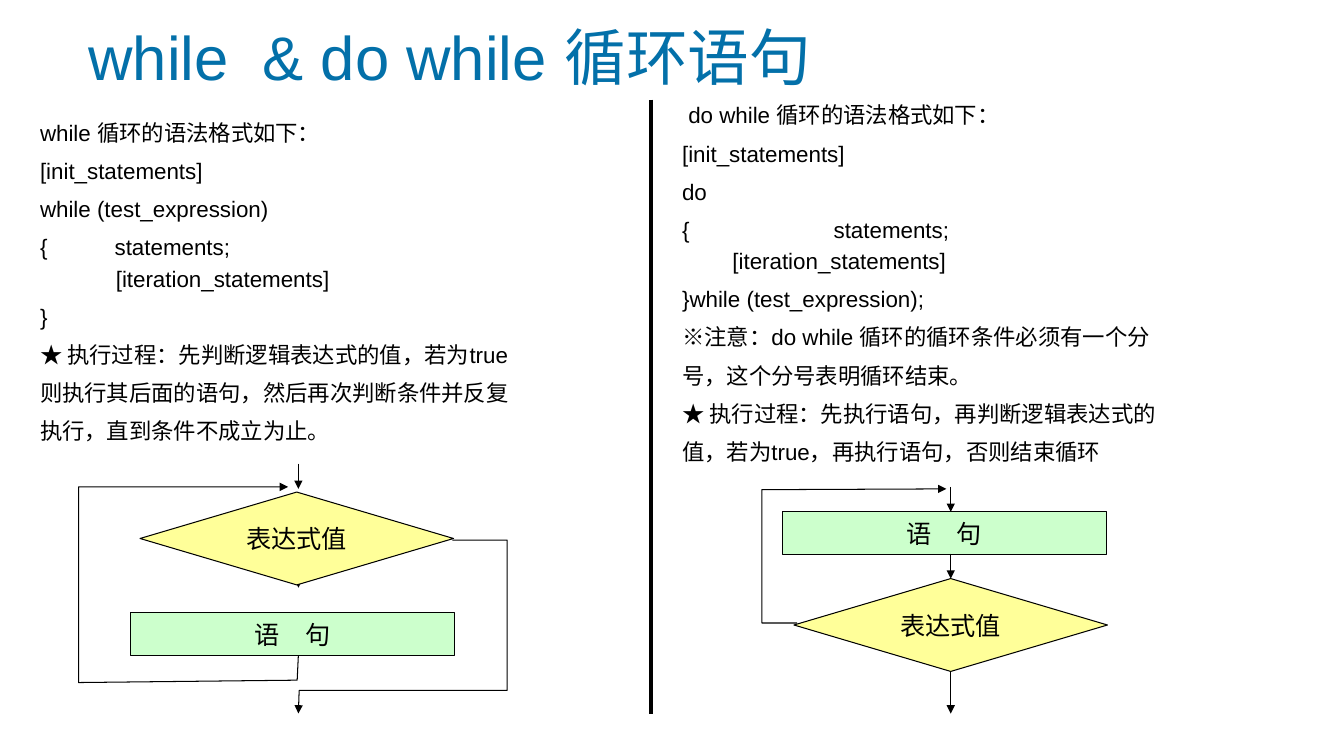
import pptx
import pptx.dml.color
import pptx.enum.shapes
import pptx.enum.text
import pptx.util
from lxml import etree
from pptx.oxml.ns import qn

Cm, Pt = pptx.util.Cm, pptx.util.Pt
SHAPE = pptx.enum.shapes.MSO_SHAPE
ANCHOR = pptx.enum.text.MSO_ANCHOR
ALIGN = pptx.enum.text.PP_ALIGN

# Content: lines are (text, left margin, first-line indent, space before)
TITLE = "while  & do while 循环语句"
WHILE_LINES = [
    ("while 循环的语法格式如下：", 0.64, -0.64, 10),
    ("[init_statements]", 0.64, -0.64, 10),
    ("while (test_expression)", 0.64, -0.64, 10),
    ("{\tstatements;", 1.88, -1.88, 10),
    ("[iteration_statements]", 1.91, 0, 5),
    ("}", 0.64, -0.64, 10),
    ("★ 执行过程：先判断逻辑表达式的值，若为true", 0.64, -0.64, 10),
    ("则执行其后面的语句，然后再次判断条件并反复", 0.64, -0.64, 10),
    ("执行，直到条件不成立为止。", 0.64, -0.64, 10),
]
DO_LINES = [
    (" do while 循环的语法格式如下：", 0, 0, 10),
    ("[init_statements]", 0, 0, 10),
    ("do", 0, 0, 10),
    ("{\tstatements;", 3.82, -3.82, 10),
    ("[iteration_statements]", 1.27, 0, 5),
    ("}while (test_expression);", 0, 0, 10),
    ("※注意：do while 循环的循环条件必须有一个分", 0, 0, 10),
    ("号，这个分号表明循环结束。", 0, 0, 10),
    ("★ 执行过程：先执行语句，再判断逻辑表达式的", 0, 0, 10),
    ("值，若为true，再执行语句，否则结束循环", 0, 0, 10),
]
TEST, STATEMENT = "表达式值", "语　句"

# Layout in centimetres
TITLE_BOX = (1.98, 0.53, 28.22, 1.98)
WHILE_BOX = (0.76, 2.95, 15.39, 15.52)
DO_BOX = (16.94, 2.51, 14.96, 15.95)
DIVIDER_X, DIVIDER_TOP, BOTTOM = 16.41, 2.51, 17.98
DIAMOND_SIZE, BAR_SIZE = (7.9, 2.34), (8.18, 1.07)
WHILE_X, DO_X = 7.52, 23.96
WHILE_LOOP = [(7.52, 16.51), (7.49, 17.14), (1.98, 17.2), (1.98, 12.27), (7.26, 12.27)]
WHILE_EXIT = [(11.4, 13.61), (12.78, 13.61), (12.78, 17.4), (7.54, 17.4), (7.52, BOTTOM)]
DO_LOOP = [(20.09, 15.7), (19.2, 15.7), (19.2, 12.34), (23.85, 12.32)]

BLACK, BLUE, YELLOW, GREEN = "000000", "0370A9", "FFFF99", "CCFFCC"

deck = pptx.Presentation()
deck.slide_width, deck.slide_height = Cm(33.87), Cm(19.05)
page = deck.slides.add_slide(deck.slide_layouts[6])


def color(value):
    return pptx.dml.color.RGBColor.from_string(value)


def write(para, text, size=16, ink=BLACK, align=None, line=None, before=0, margin=0, indent=0):
    para.alignment = align
    para.line_spacing = line
    para.space_before = Pt(before)
    properties = para._p.get_or_add_pPr()
    properties.set("marL", str(Cm(margin)))
    properties.set("indent", str(Cm(indent)))
    span = para.add_run()
    span.text = text
    span.font.name = "Arial"
    span.font.size = Pt(size)
    span.font.color.rgb = color(ink)


def add_text_box(frame):
    box = page.shapes.add_textbox(*map(Cm, frame))
    box.text_frame.word_wrap = True
    return box.text_frame


def add_lines(frame, lines):
    body = add_text_box(frame)
    for number, (text, margin, indent, before) in enumerate(lines):
        para = body.add_paragraph() if number else body.paragraphs[0]
        write(para, text, line=0.9, before=before, margin=margin, indent=indent)


def style_line(shape, width=0.75, arrow=True):
    shape.line.color.rgb = color(BLACK)
    shape.line.width = Pt(width)
    if arrow:
        etree.SubElement(shape.line._get_or_add_ln(), qn("a:tailEnd"), type="triangle")


def add_node(kind, left, top, size, fill, text):
    shape = page.shapes.add_shape(kind, *map(Cm, (left, top, *size)))
    shape.shadow.inherit = False
    shape.fill.solid()
    shape.fill.fore_color.rgb = color(fill)
    style_line(shape, arrow=False)
    shape.text_frame.word_wrap = False
    shape.text_frame.vertical_anchor = ANCHOR.MIDDLE
    write(shape.text_frame.paragraphs[0], text, size=18, align=ALIGN.CENTER)
    return shape


def add_vertical(x, top, bottom, width=0.75, arrow=True):
    line = page.shapes.add_connector(
        pptx.enum.shapes.MSO_CONNECTOR.STRAIGHT, Cm(x), Cm(top), Cm(x), Cm(bottom))
    style_line(line, width, arrow)
    etree.SubElement(line._element.spPr, qn("a:effectLst"))
    return line


def add_route(points):
    start, *rest = [(Cm(x), Cm(y)) for x, y in points]
    builder = page.shapes.build_freeform(*start)
    builder.add_line_segments(rest, close=False)
    route = builder.convert_to_shape()
    route.shadow.inherit = False
    route.fill.background()
    style_line(route)


# Title and the two text columns
title = add_text_box(TITLE_BOX)
title.vertical_anchor = ANCHOR.MIDDLE
write(title.paragraphs[0], TITLE, size=44, ink=BLUE, line=0.9)
add_lines(WHILE_BOX, WHILE_LINES)
add_lines(DO_BOX, DO_LINES)

# Flow of the while loop
add_vertical(WHILE_X, 11.68, 12.32)
add_vertical(WHILE_X, 14.17, 14.81)
add_node(SHAPE.DIAMOND, 3.53, 12.4, DIAMOND_SIZE, YELLOW, TEST)
add_node(SHAPE.RECTANGLE, 3.28, 15.44, BAR_SIZE, GREEN, STATEMENT)
add_route(WHILE_LOOP)
add_route(WHILE_EXIT)

# Flow of the do while loop
do_test = add_node(SHAPE.DIAMOND, 20.01, 14.58, DIAMOND_SIZE, YELLOW, TEST)
add_node(SHAPE.RECTANGLE, 19.71, 12.9, BAR_SIZE, GREEN, STATEMENT)
add_vertical(DO_X, 13.95, 14.58).end_connect(do_test, 0)
add_vertical(DO_X, 12.27, 12.9)
add_vertical(DO_X, 16.92, BOTTOM).begin_connect(do_test, 2)
add_route(DO_LOOP)

# Divider between the columns
add_vertical(DIVIDER_X, DIVIDER_TOP, BOTTOM, width=3, arrow=False)

deck.save("out.pptx")
